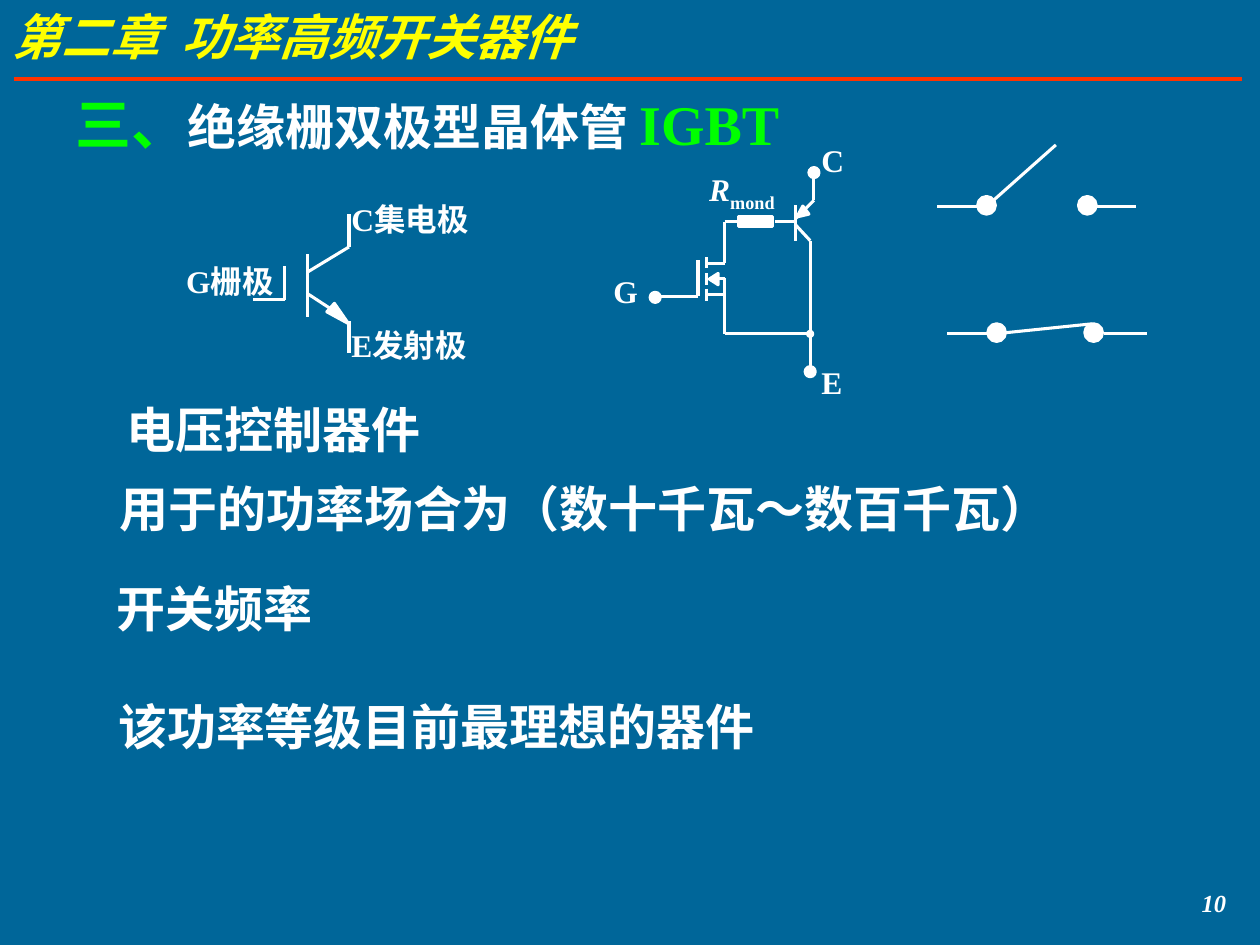
from lxml import etree
from pptx import Presentation
from pptx.dml.color import RGBColor
from pptx.enum.shapes import MSO_CONNECTOR, MSO_SHAPE
from pptx.enum.text import MSO_ANCHOR, MSO_AUTO_SIZE, PP_ALIGN
from pptx.oxml.ns import qn
from pptx.util import Pt

PX = 9144
FONT = "Times New Roman"
BLUE = RGBColor(0x00, 0x66, 0x99)
WHITE = RGBColor(0xFF, 0xFF, 0xFF)
YELLOW = RGBColor(0xFF, 0xFF, 0x00)
GREEN = RGBColor(0x00, 0xFF, 0x00)
RED = RGBColor(0xFF, 0x33, 0x00)
STRAIGHT = MSO_CONNECTOR.STRAIGHT
OVAL, RECT, TRIANGLE = MSO_SHAPE.OVAL, MSO_SHAPE.RECTANGLE, MSO_SHAPE.ISOSCELES_TRIANGLE
LEFT, RIGHT = PP_ALIGN.LEFT, PP_ALIGN.RIGHT
TOP, MIDDLE = MSO_ANCHOR.TOP, MSO_ANCHOR.MIDDLE
NO_FIT = MSO_AUTO_SIZE.NONE


def add_run(p, text, size, color=WHITE, italic=False):
    """Append a bold run to a paragraph."""
    r = p.add_run()
    r.text = text
    font = r.font
    font.name, font.size, font.bold, font.italic = FONT, Pt(size), True, italic
    font.color.rgb = color
    return r


def add_text(shapes, box, text, size, color=WHITE, italic=False,
             wrap=False, align=LEFT, anchor=TOP):
    """Add a one-paragraph text box and return its paragraph."""
    tf = shapes.add_textbox(*(v * PX for v in box)).text_frame
    tf.word_wrap = wrap
    tf.vertical_anchor = anchor
    p = tf.paragraphs[0]
    p.alignment = align
    add_run(p, text, size, color, italic)
    return p


def add_wire(shapes, x, y, points, color=WHITE, width=1.75):
    """Join successive points, relative to (x, y), with straight lines."""
    for (x1, y1), (x2, y2) in zip(points, points[1:]):
        line = shapes.add_connector(STRAIGHT, (x + x1) * PX, (y + y1) * PX,
                                    (x + x2) * PX, (y + y2) * PX)
        line.line.color.rgb = color
        line.line.width = Pt(width)
        etree.SubElement(line._element.spPr, qn("a:effectLst"))


def add_solid(shapes, kind, x, y, w, h, rotation=0):
    """Add a white filled shape."""
    sp = shapes.add_shape(kind, x * PX, y * PX, w * PX, h * PX)
    sp.rotation = rotation
    sp.shadow.inherit = False
    sp.fill.solid()
    sp.fill.fore_color.rgb = WHITE
    sp.line.color.rgb = WHITE
    sp.line.width = Pt(1.75)


def add_header(slide):
    """Place the chapter name, its rule and the section title."""
    add_wire(slide.shapes, 11, 63, [(0, 0), (975, 0)], RED, 2.25)
    add_text(slide.shapes, (0, 0, 609, 57), "第二章  功率高频开关器件", 28,
             YELLOW, italic=True, wrap=True)
    title = slide.shapes.title
    title.left, title.top, title.width, title.height = (
        v * PX for v in (50, 66, 694, 64))
    tf = title.text_frame
    tf.auto_size = NO_FIT
    tf.vertical_anchor = MIDDLE
    p = tf.paragraphs[0]
    p.alignment = LEFT
    add_run(p, "三、", 32, GREEN)
    add_run(p, "绝缘栅双极型晶体管 ", 28)
    add_run(p, "IGBT", 32, GREEN)


def add_symbol(slide, x, y):
    """Draw the IGBT circuit symbol with its electrode names."""
    shapes = slide.shapes.add_group_shape().shapes
    for points in (
        [(106, 48), (106, 98)],
        [(106, 79), (135, 98)],
        [(106, 62), (139, 42), (139, 16)],
        [(88, 57), (88, 84), (63, 84)],
        [(139, 101), (139, 126)],
    ):
        add_wire(shapes, x, y, points)
    add_solid(shapes, TRIANGLE, x + 127, y + 87, 9, 19, 132)
    for text, dx, dy in (("G栅极", 0, 49), ("E发射极", 131, 100), ("C集电极", 131, 0)):
        add_text(shapes, (x + dx, y + dy, 130, 40), text, 18, anchor=MIDDLE)


def add_equivalent(slide, x, y):
    """Draw the equivalent circuit of a MOSFET driving a PNP transistor."""
    shapes = slide.shapes.add_group_shape().shapes
    for points in (
        [(47, 128), (77, 128), (77, 99)],
        [(85, 102), (98, 102), (98, 69), (109, 69)],
        [(86, 114), (98, 114), (98, 158), (166, 158)],
        [(85, 127), (98, 127)],
        [(84, 97), (84, 106)],
        [(84, 110), (84, 119)],
        [(84, 122), (84, 132)],
        [(138, 69), (154, 69)],
        [(154, 56), (154, 84)],
        [(154, 71), (166, 84), (166, 184)],
        [(154, 67), (169, 52), (169, 33)],
    ):
        add_wire(shapes, x, y, points)
    add_solid(shapes, RECT, x + 109, y + 65, 27, 8)
    add_solid(shapes, TRIANGLE, x + 85, y + 111, 9, 7, 270)
    add_solid(shapes, TRIANGLE, x + 155, y + 58, 8, 9, 233)
    for dx, dy, d in ((39, 125, 8), (162, 184, 8), (165, 26, 8), (164, 156, 4)):
        add_solid(shapes, OVAL, x + dx, y + dy, d, d)
    for text, dx, dy, w in (("C", 165, 0, 38), ("G", 0, 104, 39), ("E", 165, 176, 36)):
        add_text(shapes, (x + dx, y + dy, w, 40), text, 18)
    p = add_text(shapes, (x + 76, y + 23, 72, 44), "R", 18, italic=True)
    add_run(p, "mond", 18).font._element.set("baseline", "-25000")


def add_switch(slide, x, y, blade, contact):
    """Draw a switch whose leads lie at height y."""
    shapes = slide.shapes.add_group_shape().shapes
    for points in ([(0, 0), (34, 0)], [(124, 0), (158, 0)], blade):
        add_wire(shapes, x, y, points)
    for dx in (32, contact):
        add_solid(shapes, OVAL, x + dx, y - 8, 14, 14)


def add_points(slide):
    """Place the statements about the device."""
    for text, x, y, w in (
        ("电压控制器件", 91, 312, 253),
        ("用于的功率场合为（数十千瓦～数百千瓦）", 85, 375, 758),
        ("开关频率", 83, 454, 732),
        ("该功率等级目前最理想的器件", 84, 548, 757),
    ):
        add_text(slide.shapes, (x, y, w, 57), text, 28)


def main():
    """Build the slide and save it."""
    prs = Presentation()
    prs.slide_width, prs.slide_height = 1000 * PX, 750 * PX
    slide = prs.slides.add_slide(prs.slide_layouts[5])
    fill = slide.background.fill
    fill.solid()
    fill.fore_color.rgb = BLUE
    add_header(slide)
    add_symbol(slide, 138, 154)
    add_equivalent(slide, 477, 107)
    add_switch(slide, 744, 164, [(40, -1), (94, -49)], 112)
    add_switch(slide, 752, 265, [(37, 0), (115, -8)], 109)
    add_points(slide)
    add_text(slide.shapes, (875, 700, 108, 33), "10", 14, italic=True,
             wrap=True, align=RIGHT)
    prs.save("out.pptx")


if __name__ == "__main__":
    main()
